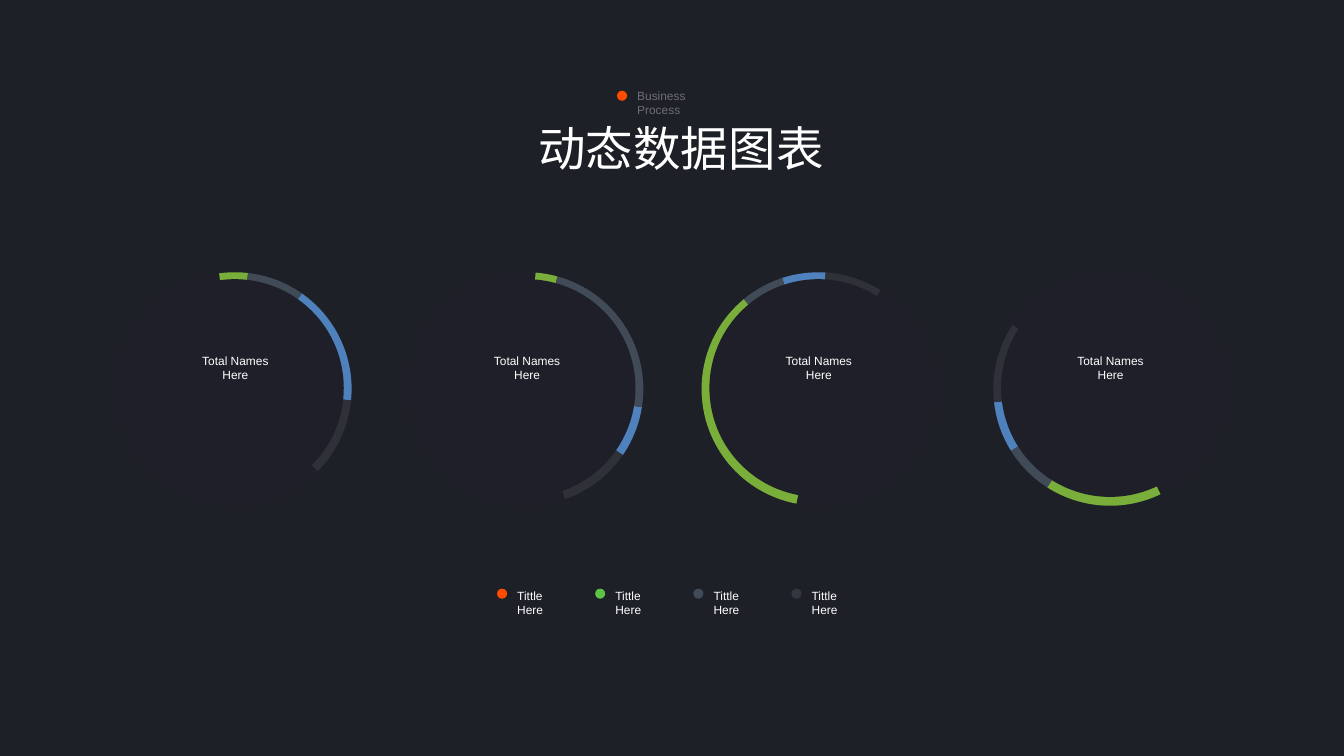
from lxml.etree import SubElement, Element
from pptx import Presentation
from pptx.chart.data import CategoryChartData
from pptx.dml.color import RGBColor
from pptx.enum.chart import XL_CHART_TYPE as CHART
from pptx.enum.shapes import MSO_SHAPE as SHAPE
from pptx.enum.text import MSO_ANCHOR as ANCHOR, MSO_AUTO_SIZE as AUTO, PP_ALIGN as ALIGN
from pptx.oxml.ns import qn
from pptx.util import Inches, Pt

DARK = RGBColor(0x1E, 0x20, 0x28)
DISC = RGBColor(0x1E, 0x1F, 0x28)
TRACK = RGBColor(0x2F, 0x31, 0x39)
GREEN = RGBColor(0x78, 0xAE, 0x39)
SLATE = RGBColor(0x41, 0x4A, 0x57)
CRIMSON = RGBColor(0xAB, 0x19, 0x42)
ORANGE = RGBColor(0xFF, 0x4C, 0x00)
LIME = RGBColor(0x5B, 0xC4, 0x44)
GRAY = RGBColor(0x35, 0x37, 0x40)
PALE = RGBColor(0xDC, 0xDD, 0xDF)
WHITE = RGBColor(0xFF, 0xFF, 0xFF)
BLACK = RGBColor(0, 0, 0)

RINGS = [
    (35, (17, 11, 61, 4, 8)),
    (99, (7, 10, 56, 3, 23)),
    (342, (6, 8, 44, 36, 6)),
    (238, (7, 11, 58, 16, 7)),
]


class RingSlide:
    """Draws styled elements on the current slide."""

    def __init__(self, prs):
        self.s = prs.slides.add_slide(prs.slide_layouts[5])
        self.s.background.fill.solid()
        self.s.background.fill.fore_color.rgb = DARK
        self.label_font = {"name": "Arial", "size": Pt(8.5)}

    def set_text(self, sp, text, font, color, align=ALIGN.LEFT, anchor=ANCHOR.TOP, inset=(0, 0)):
        tf = sp.text_frame
        dx, dy = (Inches(v) for v in inset)
        frame = {"word_wrap": True, "auto_size": AUTO.NONE, "vertical_anchor": anchor,
                 "margin_left": dx, "margin_right": dx, "margin_top": dy, "margin_bottom": dy}
        for key, value in frame.items():
            setattr(tf, key, value)
        p = tf.paragraphs[0]
        p.alignment = align
        r = p.add_run()
        r.text = text
        for key, value in font.items():
            setattr(r.font, key, value)
        r.font.color.rgb = color
        return r

    def title(self, text, x, y, w, h):
        sp = self.s.shapes.title
        sp.left, sp.top, sp.width, sp.height = (Inches(v) for v in (x, y, w, h))
        font = {"name": "Noto Sans CJK JP", "size": Pt(33.9)}
        r = self.set_text(sp, text, font, WHITE, anchor=ANCHOR.MIDDLE)
        SubElement(r.font._element, qn("a:ea"), typeface=font["name"])

    def label(self, text, x, y, w, h, color=WHITE, alpha=None, **layout):
        sp = self.s.shapes.add_textbox(*(Inches(v) for v in (x, y, w, h)))
        r = self.set_text(sp, text, self.label_font, color, **layout)
        if alpha:
            clr = r.font._element.find(".//" + qn("a:srgbClr"))
            SubElement(clr, qn("a:alpha"), val=str(alpha * 1000))

    def disc(self, x, y, size, color):
        sp = self.s.shapes.add_shape(SHAPE.OVAL, *(Inches(v) for v in (x, y, size, size)))
        sp.shadow.inherit = False
        sp.fill.solid()
        sp.fill.fore_color.rgb = color
        sp.line.fill.background()

    def pie(self, x, y, size, start, values):
        data = CategoryChartData()
        data.categories = ["1", "2", "3", "4", "5"]
        data.add_series("Series 1", values)
        box = (Inches(v) for v in (x, y, size, size))
        chart = self.s.shapes.add_chart(CHART.PIE, *box, data).chart
        chart.has_legend = chart.has_title = False
        for key, value in {"name": "Arial", "size": Pt(10)}.items():
            setattr(chart.font, key, value)
        chart.font.color.rgb = BLACK
        plot = chart.plots[0]
        plot.vary_by_categories = False
        series = plot.series[0]
        fill = series.format.fill
        fill.gradient()
        fill.gradient_angle = 270
        for stop, color in zip(fill.gradient_stops, (CRIMSON, ORANGE)):
            stop.color.rgb = color
        series.format.line.fill.background()
        for i, color in enumerate((TRACK, DISC, GREEN, SLATE), 1):
            fmt = series.points[i].format
            fmt.fill.solid()
            fmt.fill.fore_color.rgb = color
            fmt.line.fill.background()
        area = chart._chartSpace.chart.plotArea
        SubElement(area.find(qn("c:pieChart")), qn("c:firstSliceAng"), val=str(start))
        for old in area.findall(qn("c:layout")):
            area.remove(old)
        layout = Element(qn("c:layout"))
        area.insert(0, layout)
        manual = SubElement(layout, qn("c:manualLayout"))
        settings = {"layoutTarget": "inner", "xMode": "edge", "yMode": "edge",
                    "x": "0.005", "y": "0.005", "w": "0.99", "h": "0.99"}
        for tag, value in settings.items():
            SubElement(manual, qn("c:" + tag), val=value)


def main():
    prs = Presentation()
    prs.slide_width, prs.slide_height = Inches(13.33), Inches(7.5)
    page = RingSlide(prs)
    page.title("动态数据图表", 5.34, 1.18, 2.86, 0.57)
    page.label("Business Process", 6.32, 0.88, 0.81, 0.14, PALE, alpha=42)
    page.disc(6.12, 0.9, 0.1, ORANGE)
    inset = (0.03, 0.05)
    for i, (start, values) in enumerate(RINGS):
        x = 1.16 + 8.68 / 3 * i
        page.pie(x, 2.69, 2.34, start, values)
        page.disc(x + 0.09, 2.77, 2.16, DISC)
        page.label("Total Names Here", x + 0.71, 3.46, 0.93, 0.24, align=ALIGN.CENTER, inset=inset)
    for i, color in enumerate((ORANGE, LIME, SLATE, GRAY)):
        x = 4.93 + 2.92 / 3 * i
        page.disc(x, 5.84, 0.1, color)
        page.label("Tittle Here", x + 0.17, 5.79, 0.58, 0.24, inset=inset)
    prs.save("out.pptx")


if __name__ == "__main__":
    main()
